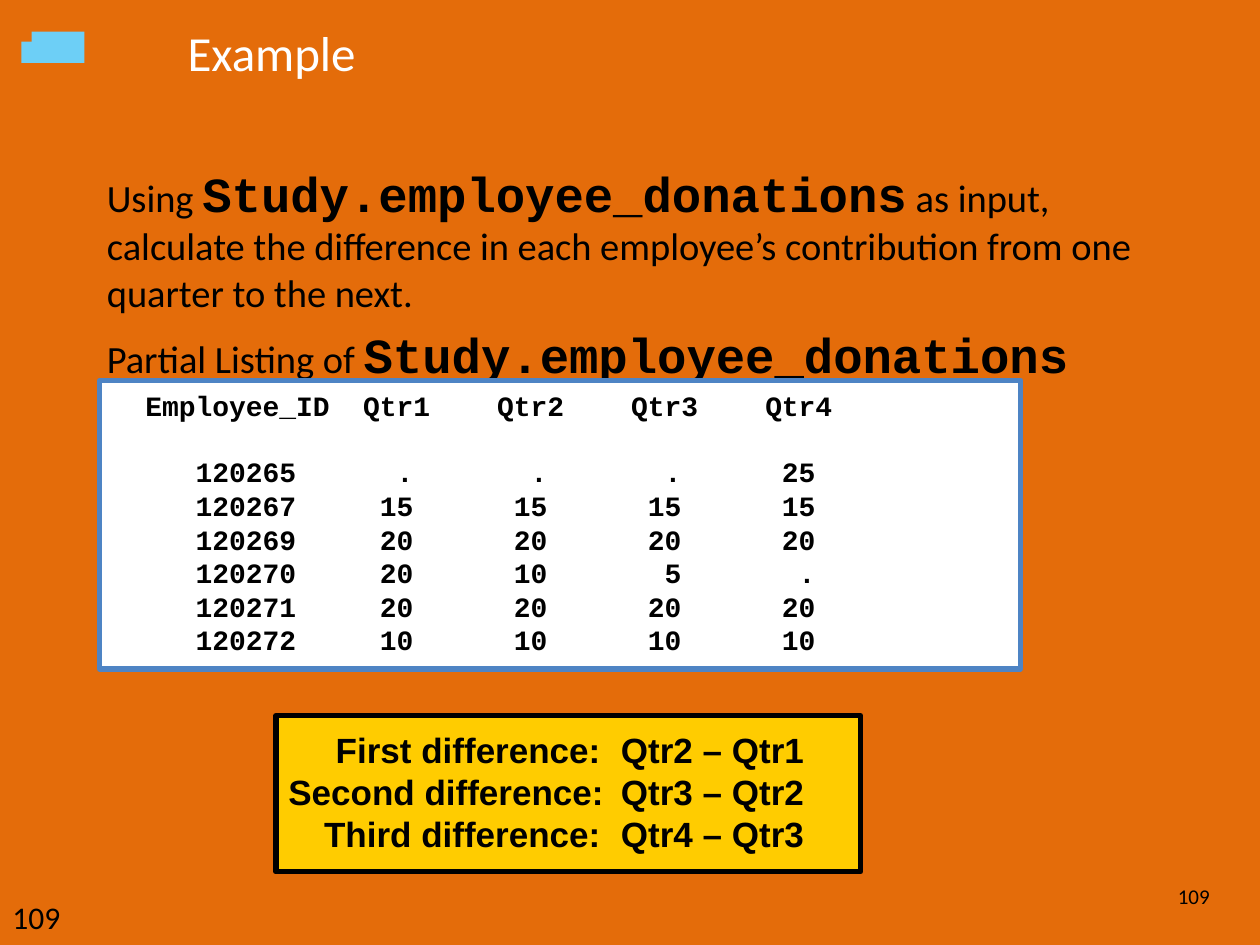
from pptx import Presentation
from pptx.dml.color import RGBColor
from pptx.enum.shapes import MSO_SHAPE
from pptx.enum.text import MSO_ANCHOR, PP_ALIGN
from pptx.oxml import parse_xml
from pptx.oxml.ns import nsdecls
from pptx.util import Inches, Pt

RECTANGLE = MSO_SHAPE.RECTANGLE
TOP, MIDDLE = MSO_ANCHOR.TOP, MSO_ANCHOR.MIDDLE
LEFT, RIGHT = PP_ALIGN.LEFT, PP_ALIGN.RIGHT

ORANGE = RGBColor(0xE4, 0x6C, 0x0A)
SKY = RGBColor(0x6D, 0xCF, 0xF6)
BLUE = RGBColor(0x4E, 0x84, 0xC4)
YELLOW = RGBColor(0xFF, 0xCC, 0x00)
BLACK = RGBColor(0, 0, 0)
WHITE = RGBColor(0xFF, 0xFF, 0xFF)

TITLE = "Example"
PAGE_NUMBER = "109"
DATA_SET = "Study.employee_donations"
# Each span is (text, is code)
BODY = [
    [("Using ", False), (DATA_SET, True),
     (" as input, calculate the difference in each employee’s contribution "
      "from one quarter to the next.", False)],
    [("Partial Listing of ", False), (DATA_SET, True)],
]
HEADER = ("Employee_ID", "Qtr1", "Qtr2", "Qtr3", "Qtr4")
DONATIONS = [
    ("120265", ".", ".", ".", "25"),
    ("120267", "15", "15", "15", "15"),
    ("120269", "20", "20", "20", "20"),
    ("120270", "20", "10", "5", "."),
    ("120271", "20", "20", "20", "20"),
    ("120272", "10", "10", "10", "10"),
]
HEADER_WIDTHS = (13, 6, 8, 8, 8)
ROW_WIDTHS = (11, 7, 8, 8, 8)
DIFFERENCES = [
    ("First difference:", "Qtr2 – Qtr1"),
    ("Second difference:", "Qtr3 – Qtr2"),
    ("Third difference:", "Qtr4 – Qtr3"),
]
DIFFERENCE_TABS = ((2.48, "r"), (2.64, "l"))
MARKER_BLOCKS = [(0.25, 0.25, 0.42, 0.25), (0.17, 0.33, 0.17, 0.17)]


def style(font, name, size, color=BLACK, bold=False):
    font.name, font.size, font.bold = name, Pt(size), bold
    font.color.rgb = color


def add_rectangle(page, place, fill, line=None):
    box = page.shapes.add_shape(RECTANGLE, *map(Inches, place))
    box.shadow.inherit = False
    box.fill.solid()
    box.fill.fore_color.rgb = fill
    if line is None:
        box.line.fill.background()
    else:
        box.line.color.rgb = line
        box.line.width = Pt(3)
    return box


def add_text(page, place, text, size, color=BLACK, anchor=TOP, align=LEFT):
    frame = page.shapes.add_textbox(*map(Inches, place)).text_frame
    frame.word_wrap = True
    frame.vertical_anchor = anchor
    para = frame.paragraphs[0]
    para.text = text
    para.alignment = align
    style(para.runs[0].font, "Calibri", size, color)
    return frame


def fill_lines(box, lines, font_name, size, inset):
    """Write one left-aligned bold paragraph per line, centred vertically."""
    frame = box.text_frame
    frame.word_wrap = True
    frame.vertical_anchor = TOP
    frame.margin_top = frame.margin_bottom = Inches(inset)
    frame.text = "\n".join(lines)
    for para in frame.paragraphs:
        para.alignment = LEFT
        style(para.runs[0].font, font_name, size, bold=True)
    return frame.paragraphs


def align_columns(cells, widths):
    return "".join(f"{cell:>{width}}" for cell, width in zip(cells, widths))


def add_tabs(para, tabs):
    stops = "".join(f'<a:tab pos="{Inches(place)}" algn="{align}"/>'
                    for place, align in tabs)
    para._p.get_or_add_pPr().append(
        parse_xml(f"<a:tabLst {nsdecls('a')}>{stops}</a:tabLst>"))


def add_body(page):
    frame = page.shapes.add_textbox(
        Inches(0.75), Inches(1.25), Inches(8.5), Inches(1.8)).text_frame
    frame.word_wrap = True
    for index, spans in enumerate(BODY):
        para = frame.add_paragraph() if index else frame.paragraphs[0]
        if index:
            para.space_before = Pt(5.6)
        for text, is_code in spans:
            span = para.add_run()
            span.text = text
            if is_code:
                style(span.font, "Courier New", 28, bold=True)
            else:
                style(span.font, "Calibri", 22)


def main():
    deck = Presentation()
    deck.slide_width, deck.slide_height = Inches(10), Inches(7.5)
    page = deck.slides.add_slide(deck.slide_layouts[6])
    page.background.fill.solid()
    page.background.fill.fore_color.rgb = ORANGE

    for place in MARKER_BLOCKS:
        add_rectangle(page, place, SKY)
    add_text(page, (8.97, 6.92, 0.73, 0.39), PAGE_NUMBER, 12,
             anchor=MIDDLE, align=RIGHT)
    add_text(page, (1.39, 0.12, 8.35, 0.58), TITLE, 28, WHITE, anchor=MIDDLE)
    add_body(page)
    add_text(page, (0, 7.08, 0.58, 0.42), PAGE_NUMBER, 18)

    listing = add_rectangle(page, (0.79, 3.02, 7.31, 2.29), WHITE, BLUE)
    lines = [align_columns(HEADER, HEADER_WIDTHS)]
    lines += [align_columns(row, ROW_WIDTHS) for row in DONATIONS]
    paras = fill_lines(listing, lines, "Courier New", 16, 0.06)
    paras[0].space_after = Pt(19)

    formulas = add_rectangle(page, (2.19, 5.68, 4.64, 1.24), YELLOW, BLACK)
    lines = [f"\t{label}\t{formula}" for label, formula in DIFFERENCES]
    for para in fill_lines(formulas, lines, "Arial", 20, 0.1):
        add_tabs(para, DIFFERENCE_TABS)

    deck.save("out.pptx")


if __name__ == "__main__":
    main()
